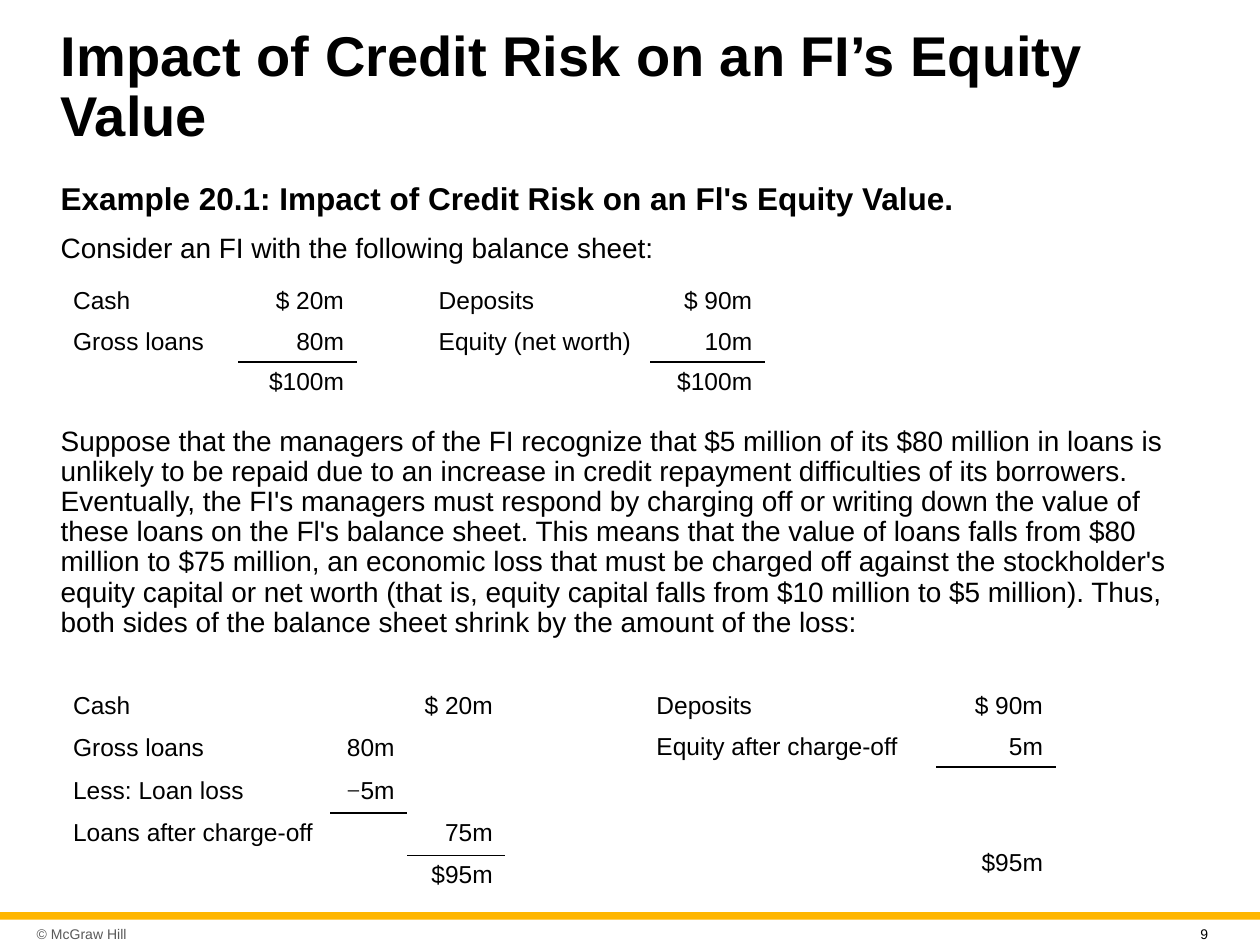
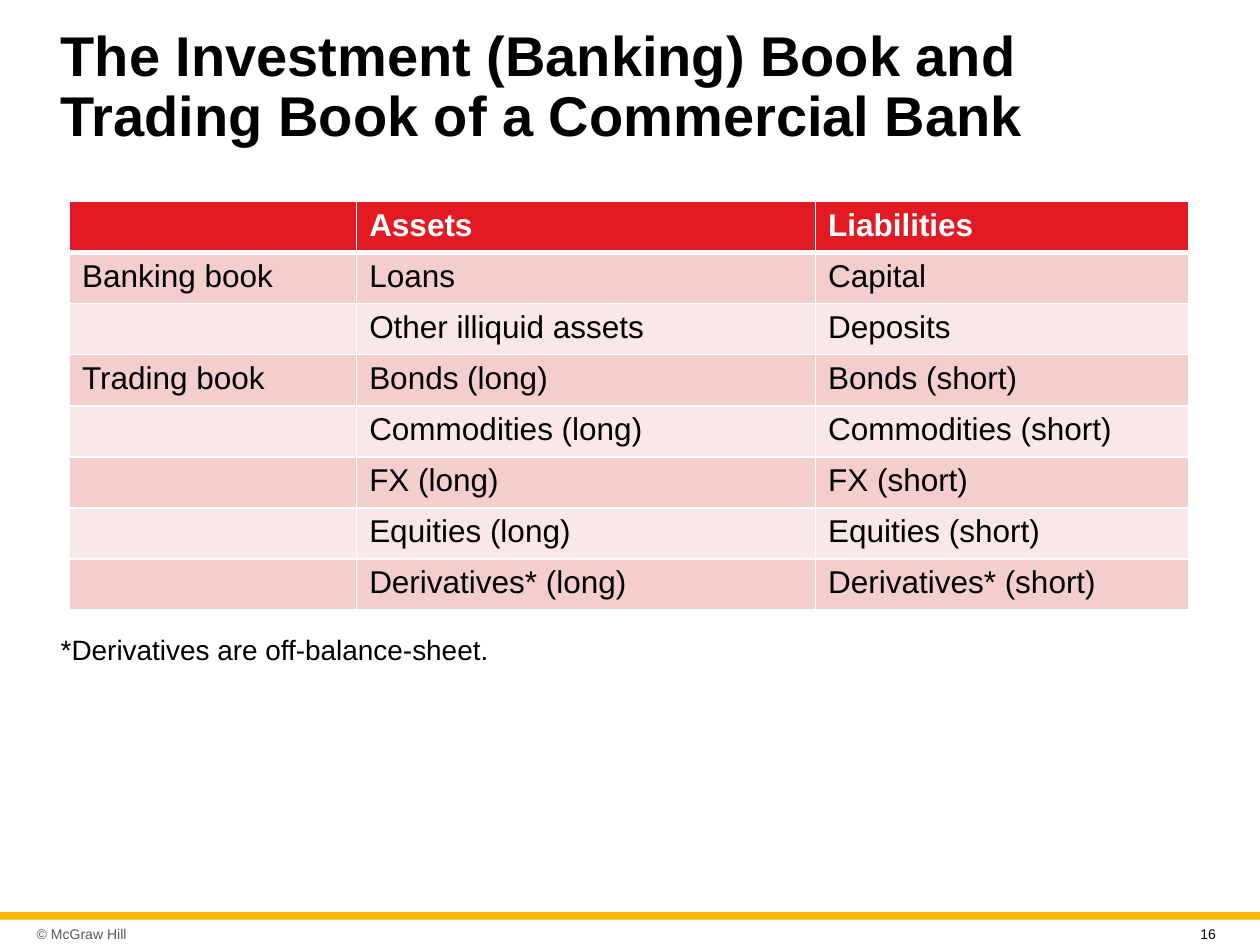
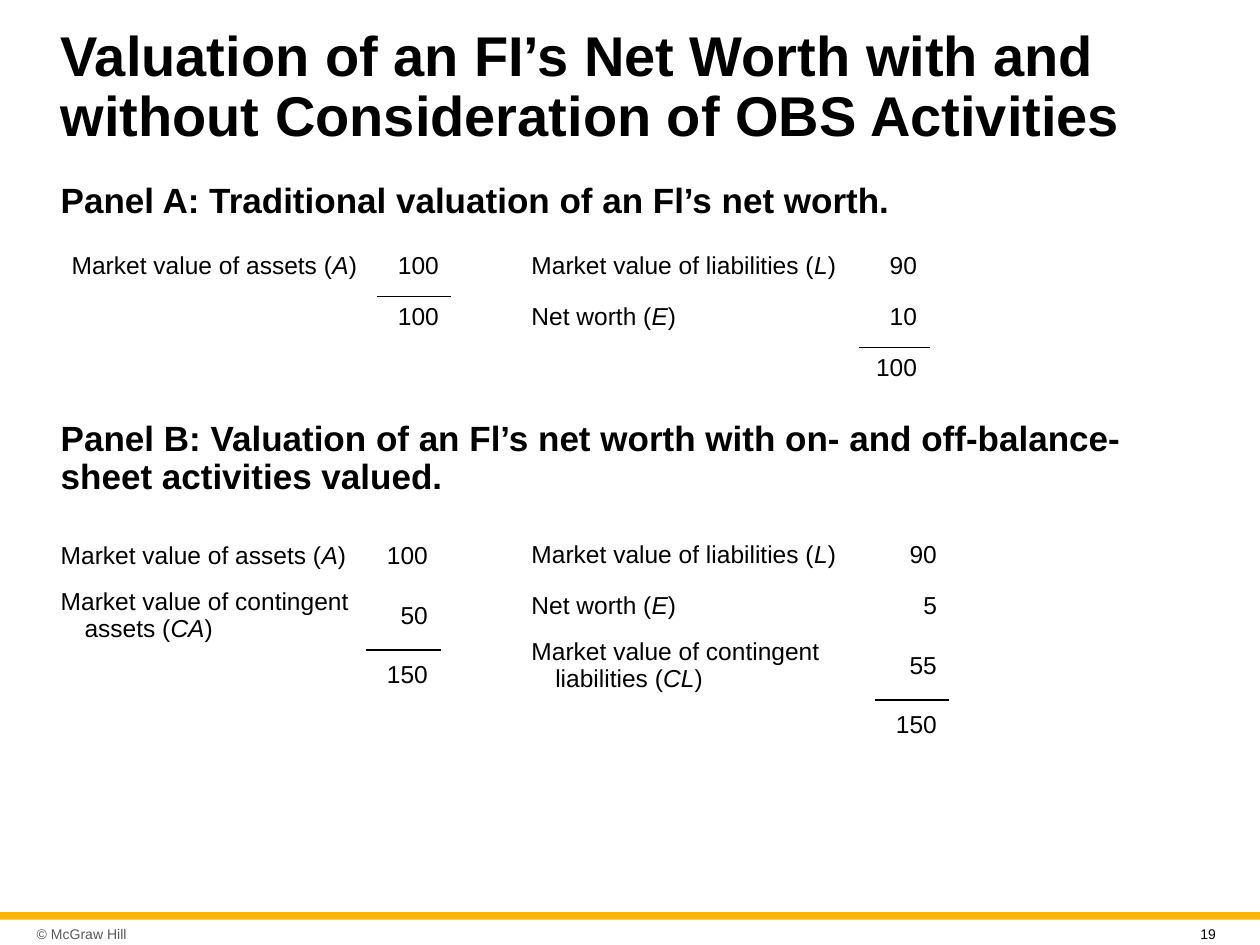
from dataclasses import dataclass

import pptx
import pptx.dml.color
import pptx.enum.shapes
import pptx.enum.text
import pptx.oxml.ns
import pptx.util
from lxml import etree

Cm, Pt = pptx.util.Cm, pptx.util.Pt
qn = pptx.oxml.ns.qn
ALIGN = pptx.enum.text.PP_ALIGN
ANCHOR = pptx.enum.text.MSO_ANCHOR


@dataclass(frozen=True)
class Theme:
    font: str = "Arial"
    sign_font: str = "Times New Roman"
    text: str = "000000"
    muted: str = "595959"
    white: str = "FFFFFF"
    gold: str = "FFB600"
    header: str = "E21A23"
    bands: tuple = ("F4CDCD", "FAE8E8")
    title_size: int = 32
    panel_size: int = 20
    lead_size: int = 18
    body_size: int = 16
    cell_size: int = 14
    footer_size: int = 8


T = Theme()
NO_STYLE = "{2D5ABB26-0587-4C30-8999-92F81FD0307C}"
WIDTH, HEIGHT = 25.4, 19.05
LEFT, CONTENT_W = 0.97, 23.5
HANG = 0.48
ROW, TALL_ROW = 1.03, 1.38    # spaced rows: one line, two lines
TIGHT = 0.82


def symbol(label, letters):
    """Runs for a label followed by an italic symbol in brackets."""
    return [(label + " (", {}), (letters, {"italic": True}), (")", {})]


LOSS = [("−", {"font": T.sign_font}), ("5m", {})]
ASSETS = symbol("Market value of assets", "A")
LIABILITIES = symbol("Market value of liabilities", "L")
NET_WORTH = symbol("Net worth", "E")
CONTINGENT_ASSETS = symbol("Market value of contingent assets", "CA")
CONTINGENT_LIABILITIES = symbol("Market value of contingent liabilities", "CL")

LEAD = {"size": T.lead_size, "bold": True}
PANEL = {"size": T.panel_size, "bold": True}
BODY = {"size": T.body_size}

# bodies: (top, width, height, [(text, format)])
# sheets: left, top, column widths, row heights, rows, cells ruled below
SLIDES = [
    {
        "number": 9,
        "title": "Impact of Credit Risk on an FI’s Equity Value",
        "bodies": [
            (3.56, CONTENT_W, 1.85, [
                ("Example 20.1: Impact of Credit Risk on an Fl's Equity Value.", LEAD),
                ("Consider an FI with the following balance sheet:", BODY),
            ]),
            (8.48, CONTENT_W, 4.5, [
                ("Suppose that the managers of the FI recognize that $5 million of its "
                 "$80 million in loans is unlikely to be repaid due to an increase in "
                 "credit repayment difficulties of its borrowers. Eventually, the FI's "
                 "managers must respond by charging off or writing down the value of "
                 "these loans on the Fl's balance sheet. This means that the value of "
                 "loans falls from $80 million to $75 million, an economic loss that "
                 "must be charged off against the stockholder's equity capital or net "
                 "worth (that is, equity capital falls from $10 million to $5 million). "
                 "Thus, both sides of the balance sheet shrink by the amount of the "
                 "loss:", BODY),
            ]),
        ],
        "sheets": [
            dict(left=1.22, top=5.66, cols=(3.58, 2.39), heights=[TIGHT] * 3,
                 rows=[("Cash", "$ 20m"), ("Gross loans", "80m"), ("", "$100m")],
                 ruled={(1, 1)}),
            dict(left=8.59, top=5.66, cols=(4.52, 2.31), heights=[TIGHT] * 3,
                 rows=[("Deposits", "$ 90m"), ("Equity (net worth)", "10m"),
                       ("", "$100m")],
                 ruled={(1, 1)}),
            dict(left=1.22, top=13.82, cols=(5.44, 1.55, 1.98), heights=[TIGHT] * 5,
                 rows=[("Cash", "", "$ 20m"), ("Gross loans", "80m", ""),
                       ("Less: Loan loss", LOSS, ""),
                       ("Loans after charge-off", "", "75m"), ("", "", "$95m")],
                 ruled={(2, 1), (3, 2)}),
            dict(left=12.98, top=13.82, cols=(5.89, 2.41),
                 heights=[TIGHT, TIGHT, 2.34], anchor=ANCHOR.BOTTOM,
                 rows=[("Deposits", "$ 90m"), ("Equity after charge-off", "5m"),
                       ("", "$95m")],
                 ruled={(1, 1)}),
        ],
    },
    {
        "number": 16,
        "title": "The Investment (Banking) Book and Trading Book of a Commercial Bank",
        "bodies": [
            (12.7, 17.4, 0.97, [("*Derivatives are off-balance-sheet.", BODY)]),
        ],
        "books": [
            ("", "Assets", "Liabilities"),
            ("Banking book", "Loans", "Capital"),
            ("", "Other illiquid assets", "Deposits"),
            ("Trading book", "Bonds (long)", "Bonds (short)"),
            ("", "Commodities (long)", "Commodities (short)"),
            ("", "FX (long)", "FX (short)"),
            ("", "Equities (long)", "Equities (short)"),
            ("", "Derivatives* (long)", "Derivatives* (short)"),
        ],
    },
    {
        "number": 19,
        "title": "Valuation of an FI’s Net Worth with and without Consideration of "
                 "OBS Activities",
        "bodies": [
            (3.56, CONTENT_W, 1.09,
             [("Panel A: Traditional valuation of an Fl’s net worth.", PANEL)]),
            (8.36, CONTENT_W, 1.8,
             [("Panel B: Valuation of an Fl’s net worth with on- and "
               "off-balance-sheet activities valued.", PANEL)]),
        ],
        "sheets": [
            dict(left=1.19, top=4.95, cols=(6.41, 1.5), heights=[ROW] * 2,
                 rows=[(ASSETS, "100"), ("", "100")], ruled={(0, 1)}),
            dict(left=10.46, top=4.95, cols=(6.86, 1.42), heights=[ROW] * 3,
                 rows=[(LIABILITIES, "90"), (NET_WORTH, "10"), ("", "100")],
                 ruled={(1, 1)}),
            dict(left=LEFT, top=10.69, cols=(6.41, 1.5),
                 heights=[ROW, TALL_ROW, ROW], anchor=ANCHOR.MIDDLE, hang=HANG,
                 rows=[(ASSETS, "100"), (CONTINGENT_ASSETS, "50"), ("", "150")],
                 ruled={(1, 1)}),
            dict(left=10.46, top=10.67, cols=(7.18, 1.5),
                 heights=[ROW, ROW, TALL_ROW, ROW], anchor=ANCHOR.MIDDLE, hang=HANG,
                 rows=[(LIABILITIES, "90"), (NET_WORTH, "5"),
                       (CONTINGENT_LIABILITIES, "55"), ("", "150")],
                 ruled={(2, 1)}),
        ],
    },
]


def rgb(color):
    return pptx.dml.color.RGBColor.from_string(color)


def write(p, text, size=T.cell_size, color=T.text, bold=False, align=ALIGN.LEFT,
          spacing=None, before=0, hang=0, bullet=None):
    """Fill a paragraph from a string or a list of (text, run format)."""
    pPr = p._p.get_or_add_pPr()
    if bullet is False:
        etree.SubElement(pPr, qn("a:buNone"))
    pPr.set("marL", str(Cm(hang)))
    pPr.set("indent", str(-Cm(hang)))
    p.alignment, p.space_before = align, Pt(before)
    if spacing:
        p.line_spacing = spacing
    if not text:
        etree.SubElement(p._p, qn("a:endParaRPr"), sz=str(size * 100))
        return
    for part, own in [(text, {})] if isinstance(text, str) else text:
        r = p.add_run()
        r.text = part
        r.font.name, r.font.size = own.get("font", T.font), Pt(size)
        r.font.bold, r.font.italic = bold, own.get("italic", False)
        r.font.color.rgb = rgb(color)


def place(sp, left, top, width, height):
    sp.left, sp.top, sp.width, sp.height = map(Cm, (left, top, width, height))


def add_title(s, text):
    sp = s.shapes.title
    place(sp, LEFT, 0.53, CONTENT_W, 2.51)
    tf = sp.text_frame
    tf.auto_size = pptx.enum.text.MSO_AUTO_SIZE.NONE
    tf.vertical_anchor = ANCHOR.MIDDLE
    write(tf.paragraphs[0], text, size=T.title_size, bold=True, spacing=0.9)


def add_body(sp, top, width, height, paragraphs):
    place(sp, LEFT, top, width, height)
    tf = sp.text_frame
    tf.auto_size = pptx.enum.text.MSO_AUTO_SIZE.NONE
    for i, (text, fmt) in enumerate(paragraphs):
        p = tf.add_paragraph() if i else tf.paragraphs[0]
        write(p, text, spacing=0.9, before=10 if i else 0, bullet=False, **fmt)


def add_footer(s, number):
    band = s.shapes.add_shape(pptx.enum.shapes.MSO_SHAPE.RECTANGLE,
                              0, Cm(18.39), Cm(WIDTH), Cm(0.15))
    band.shadow.inherit = False
    band.fill.solid()
    band.fill.fore_color.rgb = rgb(T.gold)
    band.line.fill.background()
    for text, box, color in (
            ("© McGraw Hill", (0.61, 18.52, 3.43, 0.61), T.muted),
            (str(number), (23.95, 18.54, 0.99, 0.46), T.text)):
        tf = s.shapes.add_textbox(*map(Cm, box)).text_frame
        tf.word_wrap = True
        if color == T.muted:
            tf.vertical_anchor = ANCHOR.MIDDLE
            tf.margin_left = tf.margin_right = Cm(0.13)
        write(tf.paragraphs[0], text, size=T.footer_size, color=color)


def rule(cell, side, color, width=1):
    """Draw one edge of a cell; call before the cell gets its fill."""
    ln = etree.SubElement(cell._tc.get_or_add_tcPr(), qn("a:ln" + side),
                          w=str(Pt(width)))
    fill = etree.SubElement(ln, qn("a:solidFill"))
    etree.SubElement(fill, qn("a:srgbClr"), val=color)


def add_plain_table(s, left, top, cols, heights):
    frame = s.shapes.add_table(len(heights), len(cols), Cm(left), Cm(top),
                               Cm(sum(cols)), Cm(sum(heights)))
    table = frame.table
    table.first_row = table.horz_banding = False
    frame._element.find(".//" + qn("a:tableStyleId")).text = NO_STYLE
    for column, width in zip(table.columns, cols):
        column.width = Cm(width)
    for row, height in zip(table.rows, heights):
        row.height = Cm(height)
    return table


def add_sheet(s, left, top, cols, heights, rows, ruled, anchor=ANCHOR.TOP, hang=0):
    table = add_plain_table(s, left, top, cols, heights)
    for i, row in enumerate(rows):
        for j, text in enumerate(row):
            cell = table.cell(i, j)
            if (i, j) in ruled:
                rule(cell, "B", T.text)
            cell.fill.background()
            cell.vertical_anchor = anchor
            write(cell.text_frame.paragraphs[0], text,
                  align=ALIGN.RIGHT if j else ALIGN.LEFT, hang=0 if j else hang)


def add_books(s, rows):
    table = add_plain_table(s, 1.4, 4.06, (5.79, 9.25, 7.52), [ROW] * len(rows))
    for i, row in enumerate(rows):
        head = i == 0
        for j, text in enumerate(row):
            cell = table.cell(i, j)
            for side in "LRTB":
                heavy = (head and side == "B") or (i == 1 and side == "T")
                rule(cell, side, T.white, 3 if heavy else 1)
            cell.fill.solid()
            cell.fill.fore_color.rgb = rgb(T.header if head else T.bands[(i - 1) % 2])
            write(cell.text_frame.paragraphs[0], text, size=T.lead_size, bold=head,
                  color=T.white if head else T.text)


def main():
    prs = pptx.Presentation()
    prs.slide_width, prs.slide_height = Cm(WIDTH), Cm(HEIGHT)
    one_body, two_bodies = prs.slide_layouts[1], prs.slide_layouts[3]
    for content in SLIDES:
        bodies = content["bodies"]
        s = prs.slides.add_slide(two_bodies if len(bodies) == 2 else one_body)
        add_title(s, content["title"])
        for sp, body in zip(list(s.placeholders)[1:], bodies):
            add_body(sp, *body)
        for sheet in content.get("sheets", []):
            add_sheet(s, **sheet)
        if "books" in content:
            add_books(s, content["books"])
        add_footer(s, content["number"])
    prs.save("out.pptx")


if __name__ == "__main__":
    main()
